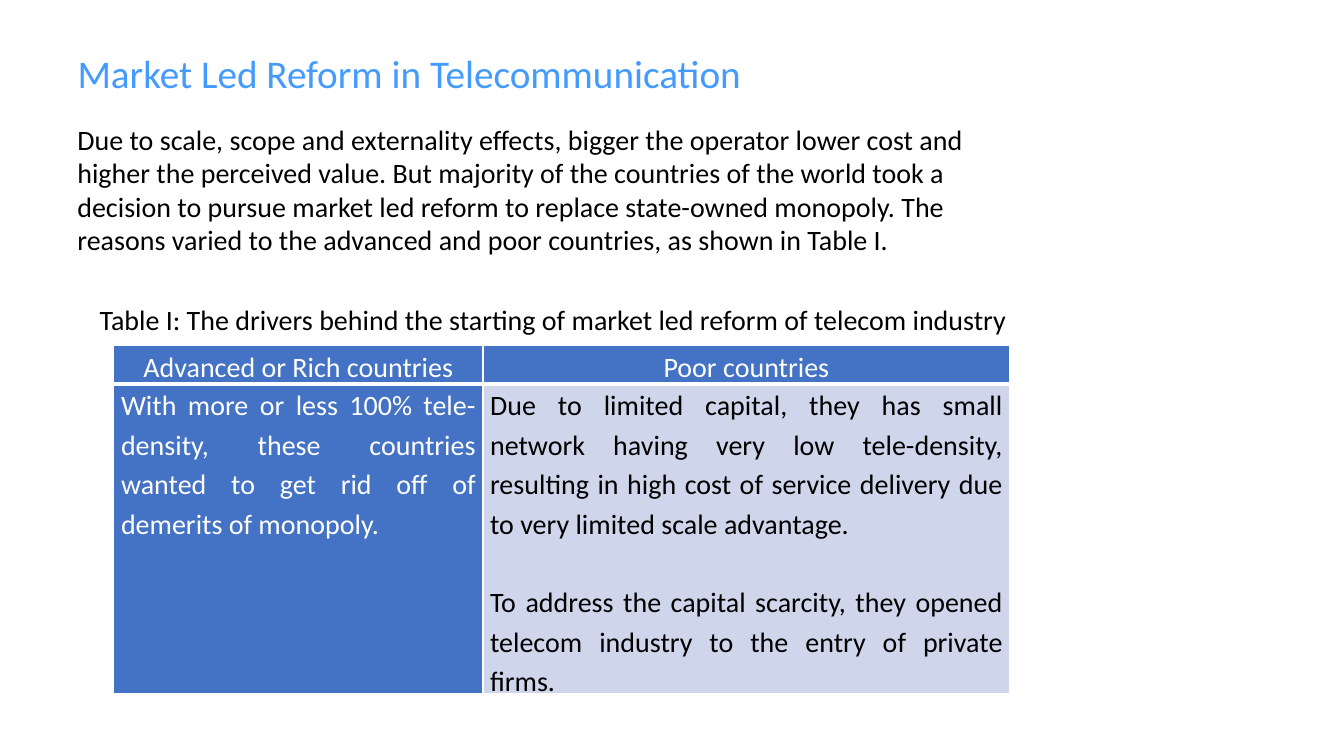
from lxml.etree import SubElement
from pptx import Presentation
from pptx.dml.color import RGBColor
from pptx.enum.text import MSO_ANCHOR, PP_ALIGN
from pptx.oxml.ns import qn
from pptx.util import Cm, Pt

COLOURS = {
    "title": "439AFF",
    "text": "000000",
    "white": "FFFFFF",
    "header": "4472C4",
    "light": "CFD5EA",
}
BODY_SIZE = 20
TABLE_SPACING = 1.15
BLANK_LINE = 28

INTRODUCTION = (
    "Due to scale, scope and externality effects, bigger the operator lower cost and "
    "higher the perceived value. But majority of the countries of the world took a "
    "decision to pursue market led reform to replace state-owned monopoly. The reasons "
    "varied to the advanced and poor countries, as shown in Table I."
)
CAPTION = "Table I: The drivers behind the starting of market led reform of telecom industry"
HEADERS = ["Advanced or Rich countries", "Poor countries"]
RICH_DRIVERS = [
    "With more or less 100% tele-density, these countries wanted to get rid off of "
    "demerits of monopoly."
]
POOR_DRIVERS = [
    "Due to limited capital, they has small network having very low tele-density, "
    "resulting in high cost of service delivery due to very limited scale advantage.",
    "To address the capital scarcity, they opened telecom industry to the entry of "
    "private firms.",
]


class SlideBuilder:
    def __init__(self, deck):
        self.font = "Calibri"
        self.page = deck.slides.add_slide(deck.slide_layouts[5])

    def add_span(self, para, text, colour, size=BODY_SIZE, align=PP_ALIGN.LEFT, spacing=1.0):
        para.alignment = align
        para.line_spacing = spacing
        span = para.add_run()
        span.text = text
        span.font.name = self.font
        span.font.size = Pt(size)
        span.font.bold = False
        span.font.color.rgb = RGBColor.from_string(COLOURS[colour])

    def title(self, text, left, top, width, height):
        box = self.page.shapes.title
        box.left, box.top, box.width, box.height = map(Cm, (left, top, width, height))
        frame = box.text_frame
        frame.word_wrap = True
        frame.vertical_anchor = MSO_ANCHOR.MIDDLE
        self.add_span(frame.paragraphs[0], text, "title", size=28, spacing=0.9)

    def text(self, text, left, top, width, height, **style):
        box = self.page.shapes.add_textbox(Cm(left), Cm(top), Cm(width), Cm(height))
        box.text_frame.word_wrap = True
        self.add_span(box.text_frame.paragraphs[0], text, "text", **style)

    def table(self, left, top, widths, heights):
        table = self.page.shapes.add_table(
            len(heights), len(widths), Cm(left), Cm(top), Cm(sum(widths)), Cm(sum(heights))
        ).table
        for column, width in zip(table.columns, widths):
            column.width = Cm(width)
        for row, height in zip(table.rows, heights):
            row.height = Cm(height)
        return table

    def borders(self, cell, top, bottom):
        """Draw white cell edges; must run before the cell gets its fill."""
        properties = cell._tc.get_or_add_tcPr()
        for side, width in (("L", 1), ("R", 1), ("T", top), ("B", bottom)):
            line = SubElement(properties, qn(f"a:ln{side}"), w=str(Pt(width)))
            fill = SubElement(line, qn("a:solidFill"))
            SubElement(fill, qn("a:srgbClr"), val=COLOURS["white"])

    def cell(self, cell, texts, colour, fill, align, edges, before=0, after=0, gap=0):
        self.borders(cell, *edges)
        cell.fill.solid()
        cell.fill.fore_color.rgb = RGBColor.from_string(COLOURS[fill])
        cell.margin_left = cell.margin_right = Cm(0.18)
        cell.margin_top = cell.margin_bottom = 0
        frame = cell.text_frame
        for index, text in enumerate(texts):
            para = frame.add_paragraph() if index else frame.paragraphs[0]
            para.space_before = Pt(gap if index else before)
            para.space_after = Pt(after)
            self.add_span(para, text, colour, align=align, spacing=TABLE_SPACING)


def main():
    deck = Presentation()
    deck.slide_width, deck.slide_height = Cm(33.87), Cm(19.05)
    slide = SlideBuilder(deck)
    slide.title("Market Led Reform in Telecommunication", 1.7, 0.86, 29.21, 2.08)
    slide.text(INTRODUCTION, 1.7, 2.95, 23.39, 3.68)
    slide.text(CAPTION, 2.26, 7.37, 23.39, 1.19,
               align=PP_ALIGN.JUSTIFY, spacing=TABLE_SPACING)

    table = slide.table(2.87, 8.7, widths=[9.3, 13.28], heights=[0.95, 7.8])
    for column, header in enumerate(HEADERS):
        slide.cell(table.cell(0, column), [header], "white", "header",
                   PP_ALIGN.CENTER, edges=(1, 3), before=6, after=6)
    drivers = [(RICH_DRIVERS, "white", "header"), (POOR_DRIVERS, "text", "light")]
    for column, (texts, colour, fill) in enumerate(drivers):
        slide.cell(table.cell(1, column), texts, colour, fill,
                   PP_ALIGN.JUSTIFY, edges=(3, 1), gap=BLANK_LINE)
    deck.save("out.pptx")


if __name__ == "__main__":
    main()
